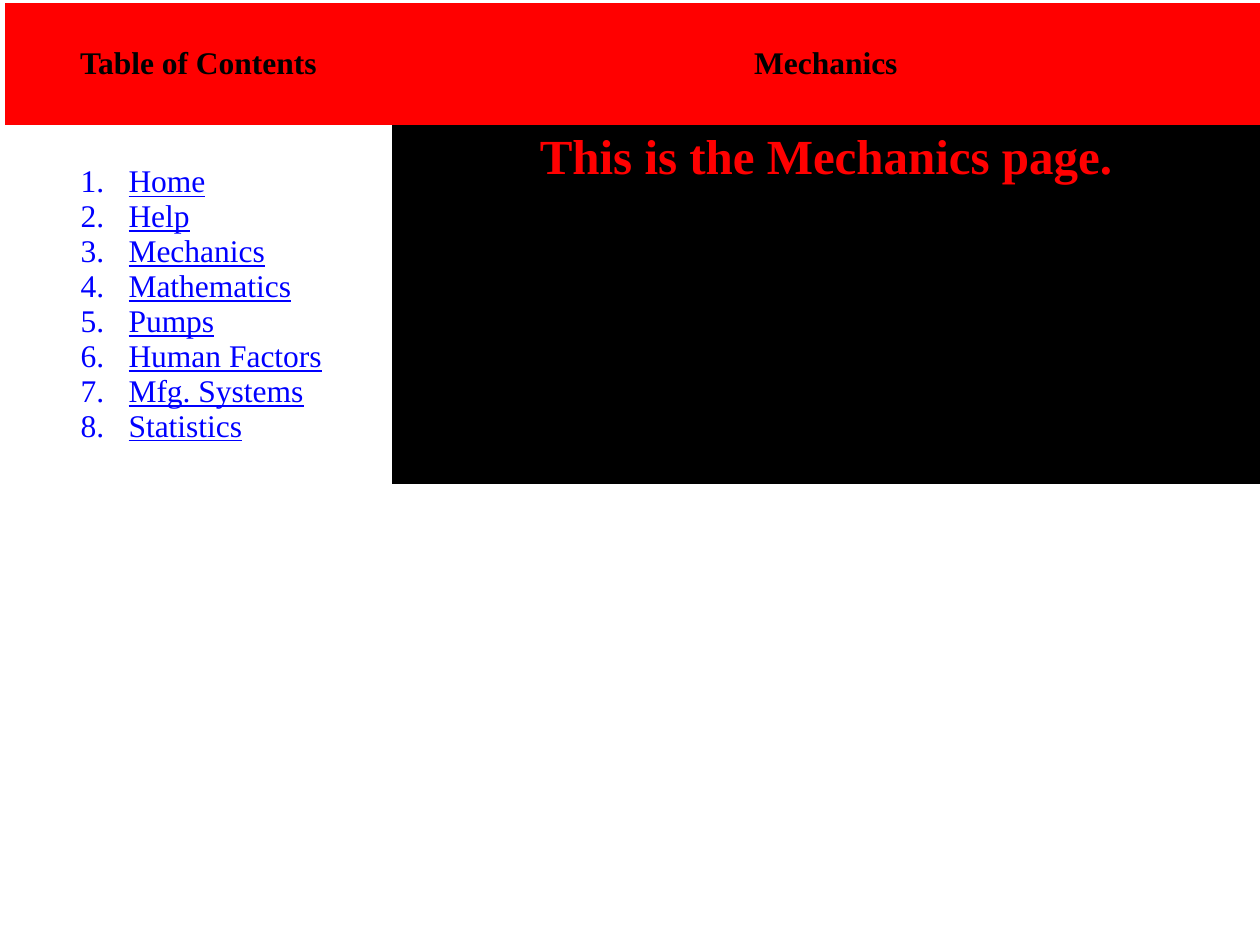
from pptx import Presentation
from pptx import util as u
from pptx.dml.color import RGBColor
from pptx.enum import text
from pptx.oxml import xmlchemy
from pptx.oxml.ns import qn

RED = RGBColor(0xFF, 0x00, 0x00)
BLACK = RGBColor(0x00, 0x00, 0x00)
BLUE = RGBColor(0x00, 0x00, 0xFF)
FONT = "Times New Roman"
NO_GRID_STYLE = "{2D5ABB26-0587-4C30-8999-92F81FD0307C}"

COLUMNS = [3.07, 6.89]
ROWS = [0.97, 2.85]
LEFT, TOP = 0.04, 0.02

HEADINGS = ["Table of Contents", "Mechanics"]
CONTENTS = ["Home", "Help", "Mechanics", "Mathematics", "Pumps",
            "Human Factors", "Mfg. Systems", "Statistics"]
MESSAGE = "This is the Mechanics page."


def write_cell(cell, lines, fill, color, size=18, bold=True, underline=False,
               align=text.PP_ALIGN.CENTER, anchor=text.MSO_ANCHOR.MIDDLE):
    if fill is None:
        cell.fill.background()
    else:
        cell.fill.solid()
        cell.fill.fore_color.rgb = fill
    cell.vertical_anchor = anchor
    cell.text_frame.text = "\n".join(lines)
    for para in cell.text_frame.paragraphs:
        para.alignment = align
        for span in para.runs:
            font = span.font
            font.name, font.size = FONT, u.Pt(size)
            font.bold, font.underline = bold, underline
            font.color.rgb = color


def number_list(cell):
    for para in cell.text_frame.paragraphs:
        para.level = 1
        properties = para._p.get_or_add_pPr()
        properties.set("marL", str(u.Inches(0.88)))
        properties.set("indent", str(u.Inches(-0.38)))
        bullet = xmlchemy.OxmlElement("a:buAutoNum")
        bullet.set("type", "arabicPeriod")
        properties.append(bullet)


def main():
    deck = Presentation()
    deck.slide_width, deck.slide_height = u.Inches(10), u.Inches(7.5)
    page = deck.slides.add_slide(deck.slide_layouts[6])

    frame = page.shapes.add_table(
        len(ROWS), len(COLUMNS), u.Inches(LEFT), u.Inches(TOP),
        u.Inches(sum(COLUMNS)), u.Inches(sum(ROWS)))
    table = frame.table
    table.first_row = table.horz_banding = False
    table._tbl.tblPr.find(qn("a:tableStyleId")).text = NO_GRID_STYLE
    for column, width in zip(table.columns, COLUMNS):
        column.width = u.Inches(width)
    for row, height in zip(table.rows, ROWS):
        row.height = u.Inches(height)

    for index, heading in enumerate(HEADINGS):
        write_cell(table.cell(0, index), [heading], RED, BLACK)

    contents = table.cell(1, 0)
    write_cell(contents, CONTENTS, None, BLUE, bold=False, underline=True,
               align=text.PP_ALIGN.LEFT)
    number_list(contents)
    write_cell(table.cell(1, 1), [MESSAGE], BLACK, RED, size=28,
               anchor=text.MSO_ANCHOR.TOP)

    deck.save("out.pptx")


if __name__ == "__main__":
    main()
